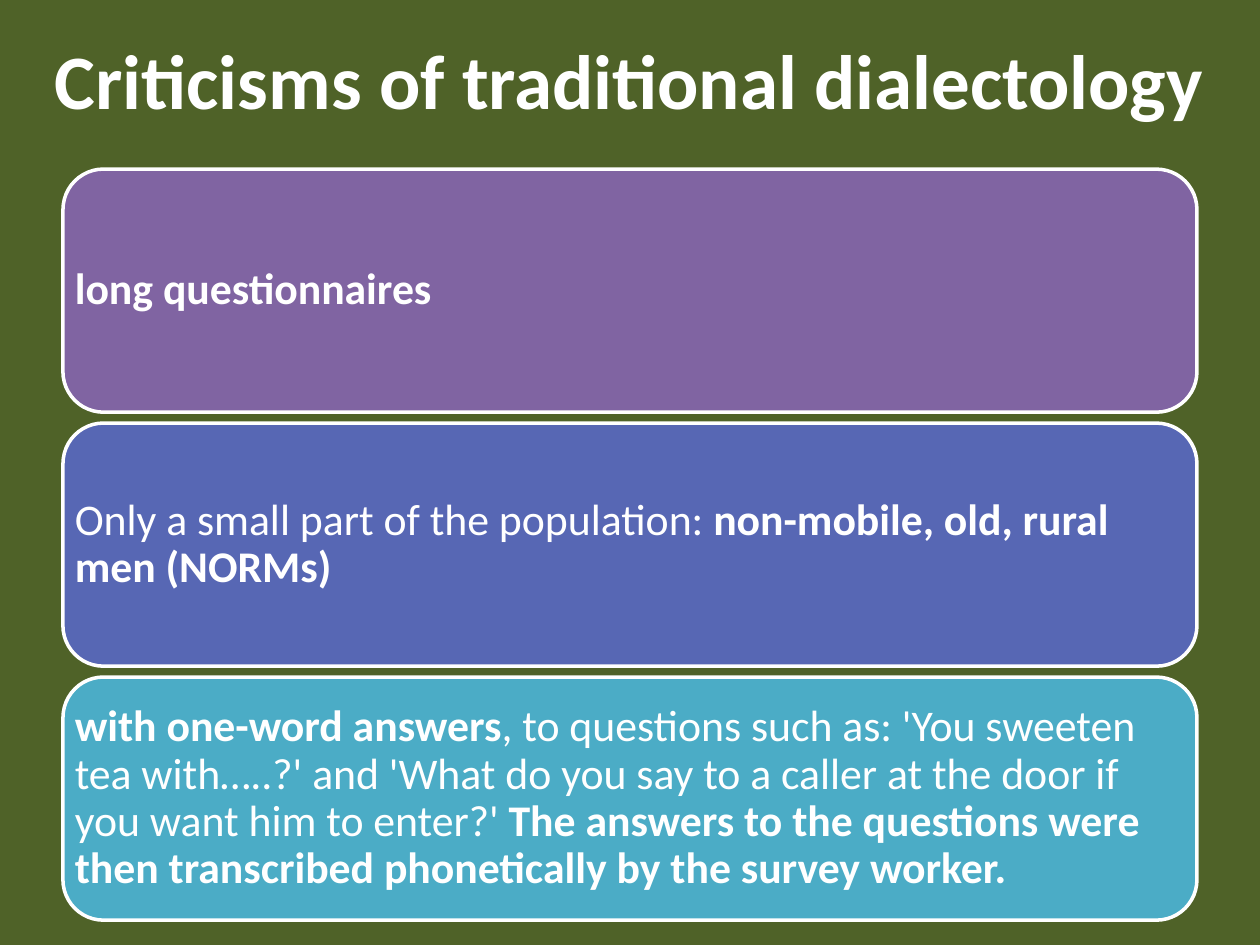
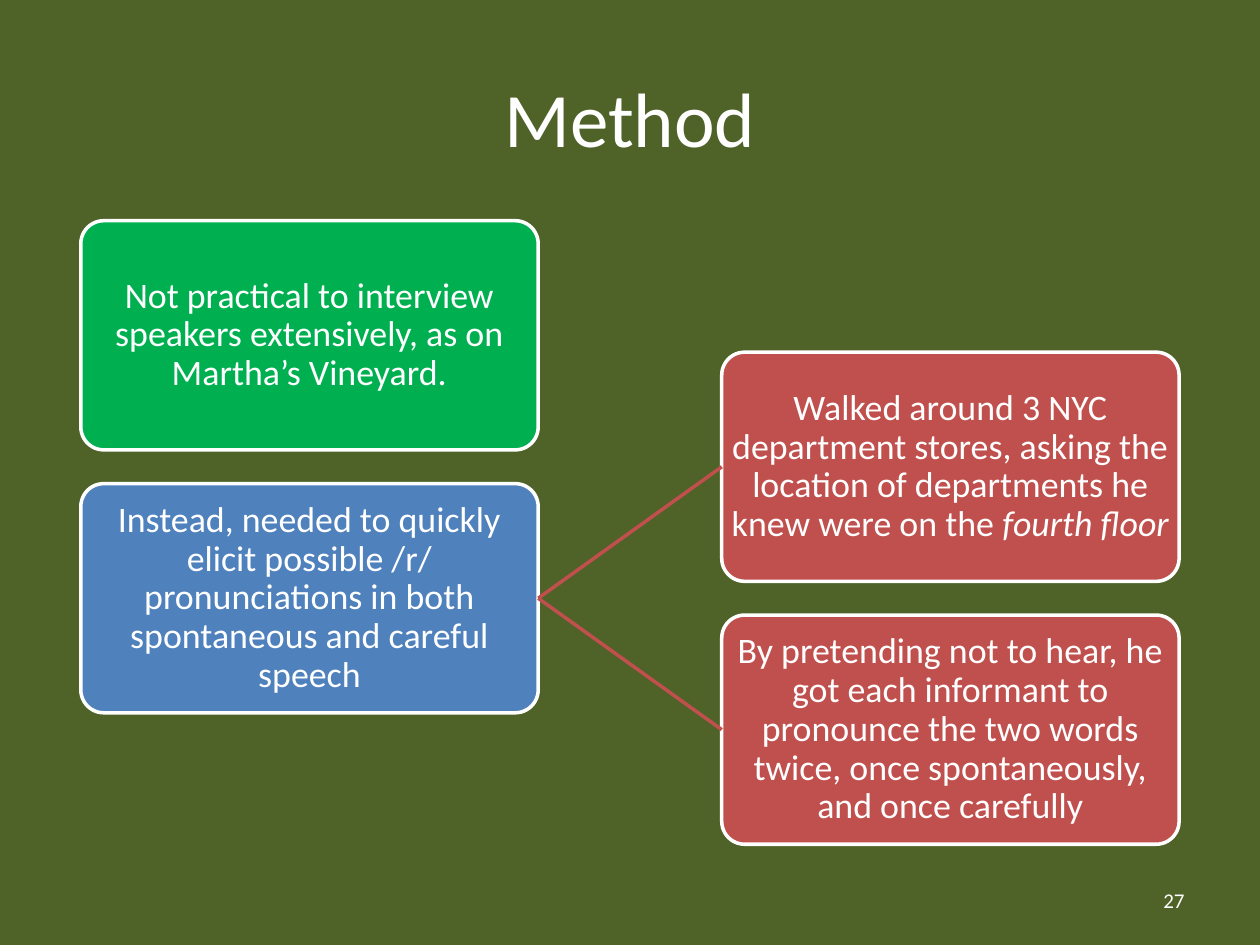
from dataclasses import dataclass

from lxml import etree
from pptx import Presentation
from pptx.dml.color import RGBColor
from pptx.enum.shapes import MSO_CONNECTOR, MSO_SHAPE
from pptx.enum.text import MSO_ANCHOR, PP_ALIGN
from pptx.oxml.ns import qn
from pptx.util import Cm, Pt

ROUNDED = MSO_SHAPE.ROUNDED_RECTANGLE
STRAIGHT = MSO_CONNECTOR.STRAIGHT
MIDDLE = MSO_ANCHOR.MIDDLE
LEFT, CENTER, RIGHT = PP_ALIGN.LEFT, PP_ALIGN.CENTER, PP_ALIGN.RIGHT
LEFT_SIDE, RIGHT_SIDE = 1, 3
TITLE_ONLY = 5


@dataclass(frozen=True)
class Theme:
    font: str = "Calibri"
    background: str = "4F6228"
    text: str = "FFFFFF"
    purple: str = "8064A2"
    indigo: str = "5767B4"
    aqua: str = "4BACC6"
    green: str = "00B050"
    blue: str = "4F81BD"
    red: str = "C0504D"
    title_size: float = 44
    criticism_size: float = 25
    method_size: float = 20.5
    number_size: float = 12
    line_width: float = 2


THEME = Theme()


def color(value):
    return RGBColor.from_string(value)


def format_run(run, size, bold=False, italic=False):
    run.font.name = THEME.font
    run.font.size = Pt(size)
    run.font.color.rgb = color(THEME.text)
    run.font.bold = bold
    run.font.italic = italic


def write_runs(paragraph, parts, size):
    """Write (text, style) parts, where style is "", "bold" or "italic"."""
    for text, style in parts:
        run = paragraph.add_run()
        run.text = text
        format_run(run, size, style == "bold", style == "italic")


def add_titled_slide(presentation, title, top, left, width, bold=False):
    slide = presentation.slides.add_slide(presentation.slide_layouts[TITLE_ONLY])
    shape = slide.shapes.title
    shape.left, shape.top = Cm(left), Cm(top)
    shape.width, shape.height = Cm(width), Cm(3.18)
    frame = shape.text_frame
    frame.text = title
    frame.vertical_anchor = MIDDLE
    paragraph = frame.paragraphs[0]
    paragraph.alignment = CENTER
    format_run(paragraph.runs[0], THEME.title_size, bold)
    return slide


def add_card(slide, box, fill, parts, size, alignment, corner=None):
    shape = slide.shapes.add_shape(ROUNDED, *(Cm(length) for length in box))
    shape.shadow.inherit = False
    if corner is not None:
        shape.adjustments[0] = corner
    shape.fill.solid()
    shape.fill.fore_color.rgb = color(fill)
    shape.line.color.rgb = color(THEME.text)
    shape.line.width = Pt(THEME.line_width)
    frame = shape.text_frame
    frame.word_wrap = True
    frame.vertical_anchor = MIDDLE
    frame.margin_left = frame.margin_right = 0
    frame.margin_top = frame.margin_bottom = 0
    paragraph = frame.paragraphs[0]
    paragraph.alignment = alignment
    paragraph.line_spacing = 0.9
    write_runs(paragraph, parts, size)
    return shape


def add_branch(slide, source, target):
    connector = slide.shapes.add_connector(STRAIGHT, 0, 0, 0, 0)
    connector.begin_connect(source, RIGHT_SIDE)
    connector.end_connect(target, LEFT_SIDE)
    connector.line.color.rgb = color(THEME.red)
    connector.line.width = Pt(THEME.line_width)
    etree.SubElement(connector.element.spPr, qn("a:effectLst"))


def add_slide_number(slide, number):
    box = slide.shapes.add_textbox(Cm(18.2), Cm(17.65), Cm(5.93), Cm(1.01))
    frame = box.text_frame
    frame.word_wrap = True
    frame.vertical_anchor = MIDDLE
    frame.text = number
    frame.paragraphs[0].alignment = RIGHT
    format_run(frame.paragraphs[0].runs[0], THEME.number_size)


def add_criticisms_slide(presentation):
    slide = add_titled_slide(presentation, "Criticisms of traditional dialectology",
                             top=0, left=0, width=25.4, bold=True)
    criticisms = [
        (THEME.purple, [("long questionnaires", "bold")]),
        (THEME.indigo, [
            ("Only a small part of the population: ", ""),
            ("non-mobile, old, rural men (NORMs)", "bold"),
        ]),
        (THEME.aqua, [
            ("with one-word answers", "bold"),
            (", to questions such as: 'You sweeten tea with…..?' and 'What do you "
             "say to a caller at the door if you want him to enter?' ", ""),
            ("The answers to the questions were then transcribed phonetically "
             "by the survey worker.", "bold"),
        ]),
    ]
    top, height, gap = 3.41, 4.9, 0.22
    for row, (fill, parts) in enumerate(criticisms):
        box = (1.27, top + row * (height + gap), 22.86, height)
        add_card(slide, box, fill, parts, THEME.criticism_size, LEFT)


def add_method_slide(presentation):
    slide = add_titled_slide(presentation, "Method", top=0.76, left=1.27, width=22.86)
    width, height, pitch, top = 9.22, 4.62, 5.3, 4.45
    problem_left, solution_left = 1.63, 14.55

    def add_method_card(left, row, fill, parts):
        box = (left, top + row * pitch, width, height)
        return add_card(slide, box, fill, parts, THEME.method_size, CENTER, corner=0.1)

    add_method_card(problem_left, 0, THEME.green, [
        ("Not practical to interview speakers extensively, as on Martha’s Vineyard.", ""),
    ])
    need = add_method_card(problem_left, 1, THEME.blue, [
        ("Instead, needed to quickly elicit possible /r/ pronunciations in both "
         "spontaneous and careful speech", ""),
    ])
    solutions = [
        [("Walked around 3 NYC department stores, asking the location of "
          "departments he knew were on the ", ""), ("fourth floor", "italic")],
        [("By pretending not to hear, he got each informant to pronounce the two "
          "words twice, once spontaneously, and once carefully", "")],
    ]
    for index, parts in enumerate(solutions):
        solution = add_method_card(solution_left, index + 0.5, THEME.red, parts)
        add_branch(slide, need, solution)
    add_slide_number(slide, "27")


def main():
    presentation = Presentation()
    presentation.slide_width, presentation.slide_height = Cm(25.4), Cm(19.05)
    background = presentation.slide_master.background.fill
    background.solid()
    background.fore_color.rgb = color(THEME.background)
    add_criticisms_slide(presentation)
    add_method_slide(presentation)
    presentation.save("out.pptx")


if __name__ == "__main__":
    main()
